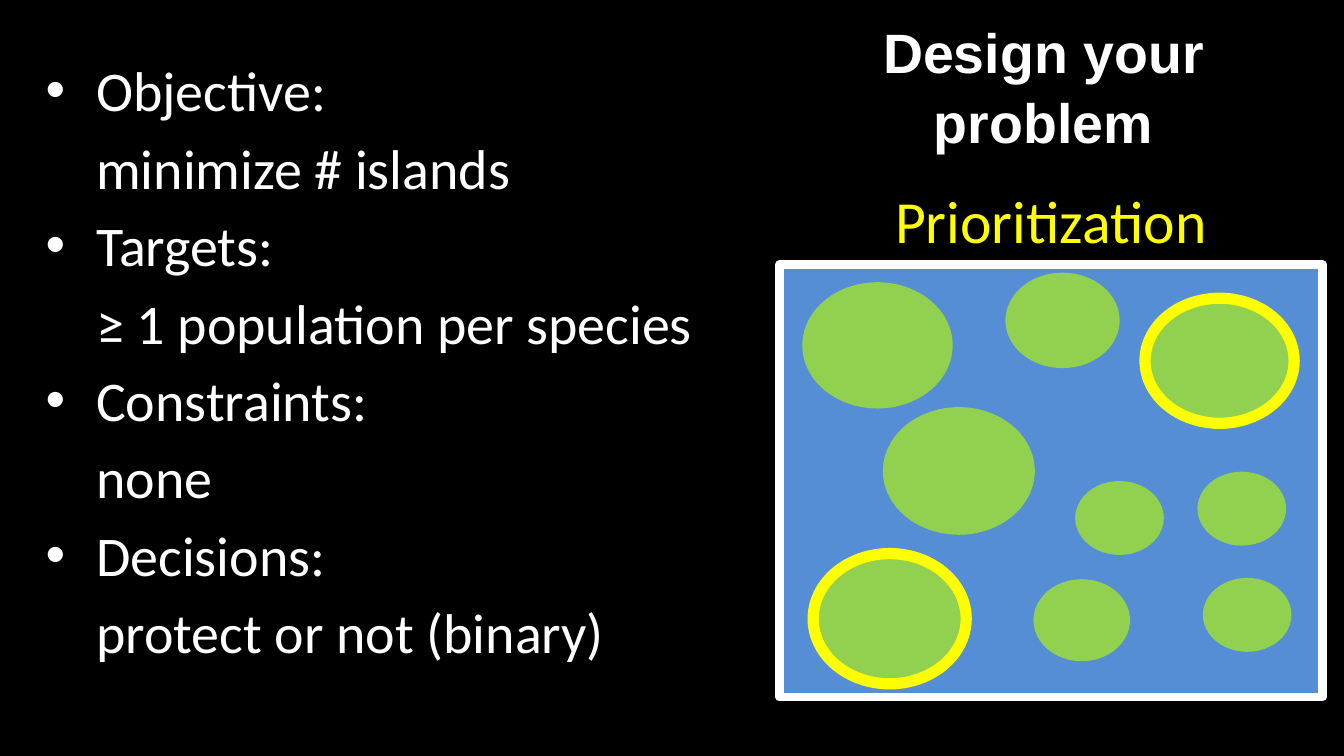
from dataclasses import dataclass
from pptx import Presentation
from pptx.dml.color import RGBColor
from pptx.enum.shapes import MSO_SHAPE
from pptx.enum.text import MSO_ANCHOR, MSO_AUTO_SIZE, PP_ALIGN
from pptx.oxml.xmlchemy import OxmlElement
from pptx.util import Pt


@dataclass(frozen=True)
class Theme:
    back: str = "000000"
    text: str = "FFFFFF"
    mark: str = "FFFF00"
    sea: str = "558ED5"
    land: str = "92D050"
    head: str = "Arial"
    body: str = "Calibri"
    head_size: float = 29.7
    list_size: float = 30
    label_size: float = 32
    frame: float = 4.5
    ring: float = 6


THEME = Theme()
INDENT = 27

GOALS = [
    ("Objective:", "minimize # islands"),
    ("Targets:", "≥ 1 population per species"),
    ("Constraints:", "none"),
    ("Decisions:", "protect or not (binary)"),
]

ISLANDS = [
    (195.8, 18, 79.9, 67, True),
    (136, 168.5, 51.8, 43.9, False),
    (12.2, 9.4, 80.6, 67.7, False),
    (18, 154.8, 82, 69.8, True),
    (121, 4.3, 61.2, 51.1, False),
    (223.9, 110.9, 47.5, 39.6, False),
    (158.4, 115.9, 47.5, 39.6, False),
    (226.8, 167.8, 47.5, 39.6, False),
    (55.4, 76.3, 81.4, 68.4, False),
]


def color(code):
    return RGBColor.from_string(code)


def place(shape, box):
    shape.left, shape.top, shape.width, shape.height = map(Pt, box)


def style(para, name, size, code, bold=False):
    for run in para.runs:
        font = run.font
        font.name, font.size, font.bold = name, Pt(size), bold
        font.color.rgb = color(code)


def add_title(slide, box):
    title = slide.shapes.title
    place(title, box)
    frame = title.text_frame
    frame.text = "Design your problem"
    frame.word_wrap = True
    frame.auto_size = MSO_AUTO_SIZE.NONE
    frame.vertical_anchor = MSO_ANCHOR.MIDDLE
    para = frame.paragraphs[0]
    para.alignment = PP_ALIGN.CENTER
    para.line_spacing = 1.05
    style(para, THEME.head, THEME.head_size, THEME.text, True)


def add_goals(slide, box):
    body = slide.placeholders[1]
    place(body, box)
    frame = body.text_frame
    frame.text = "\n".join(line for goal in GOALS for line in goal)
    frame.auto_size = MSO_AUTO_SIZE.NONE
    frame.margin_top = Pt(6)
    for i, para in enumerate(frame.paragraphs):
        detail = i % 2 == 1
        props = para._p.get_or_add_pPr()
        props.set("marL", str(Pt(INDENT)))
        props.set("indent", str(0 if detail else Pt(-INDENT)))
        if detail:
            props.append(OxmlElement("a:buNone"))
        else:
            dot = OxmlElement("a:buChar")
            dot.set("char", "•")
            props.append(dot)
        para.space_before = Pt(5.5 if i else 0)
        style(para, THEME.body, THEME.list_size, THEME.text)


def add_label(slide, box):
    frame = slide.shapes.add_textbox(*map(Pt, box)).text_frame
    frame.word_wrap = True
    frame.text = "Prioritization"
    para = frame.paragraphs[0]
    para.alignment = PP_ALIGN.CENTER
    style(para, THEME.body, THEME.label_size, THEME.mark)


def add_patch(group, kind, box, fill, line=None, width=0):
    shape = group.shapes.add_shape(kind, *map(Pt, box))
    shape.shadow.inherit = False
    shape.fill.solid()
    shape.fill.fore_color.rgb = color(fill)
    if line:
        shape.line.color.rgb = color(line)
        shape.line.width = Pt(width)
    else:
        shape.line.fill.background()


def add_map(slide, box):
    left, top = box[:2]
    group = slide.shapes.add_group_shape()
    add_patch(group, MSO_SHAPE.RECTANGLE, box, THEME.sea, THEME.text, THEME.frame)
    for x, y, width, height, chosen in ISLANDS:
        spot = (left + x, top + y, width, height)
        ring = THEME.mark if chosen else None
        add_patch(group, MSO_SHAPE.OVAL, spot, THEME.land, ring, THEME.ring)


def main():
    deck = Presentation()
    deck.slide_width, deck.slide_height = Pt(720), Pt(405)
    slide = deck.slides.add_slide(deck.slide_layouts[1])
    slide.background.fill.solid()
    slide.background.fill.fore_color.rgb = color(THEME.back)
    add_map(slide, (417.6, 141.8, 290.9, 231.8))
    add_label(slide, (417.6, 95, 290.9, 46))
    add_goals(slide, (17.3, 23.8, 390.2, 347))
    add_title(slide, (407.5, 11.5, 303.1, 67.7))
    deck.save("out.pptx")


if __name__ == "__main__":
    main()
